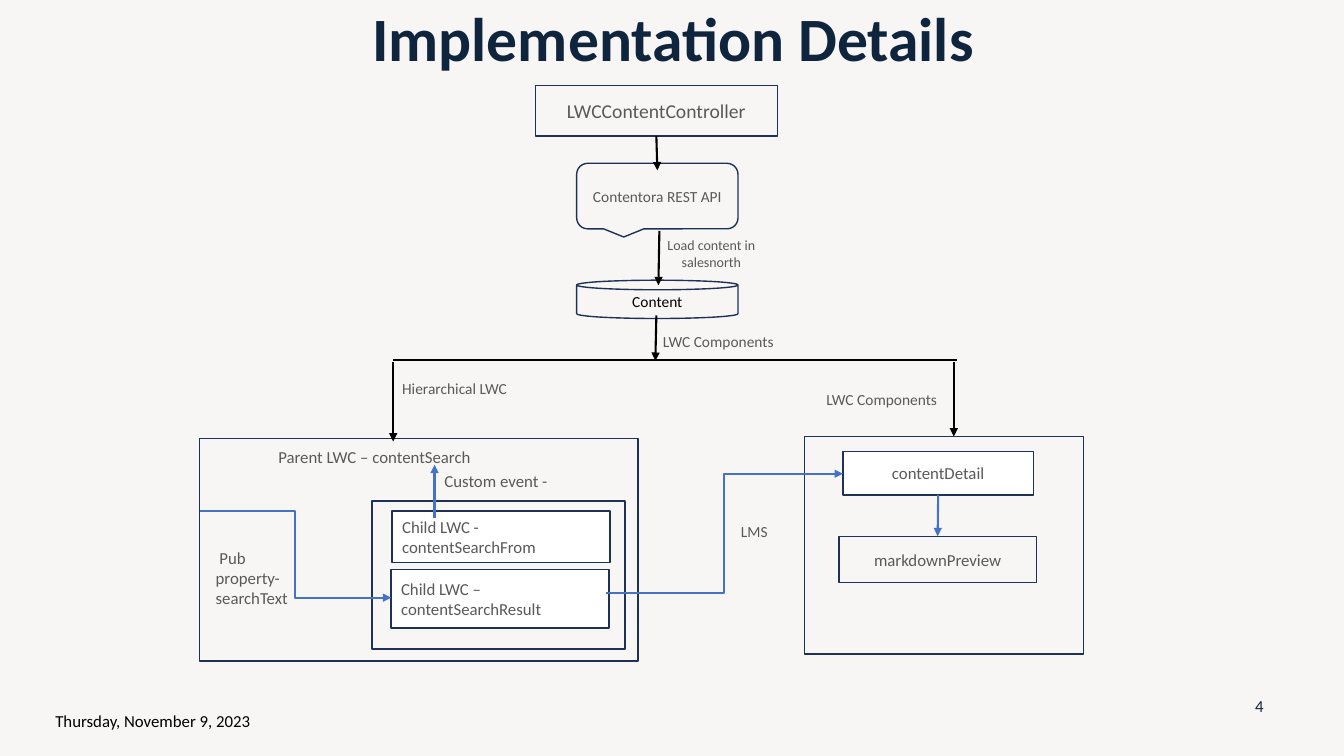
from lxml import etree
from pptx import Presentation
from pptx.dml.color import RGBColor
from pptx.enum.shapes import MSO_CONNECTOR, MSO_SHAPE
from pptx.enum.text import MSO_ANCHOR, PP_ALIGN
from pptx.oxml.ns import qn
from pptx.util import Inches, Pt

RECT, CAN = MSO_SHAPE.RECTANGLE, MSO_SHAPE.CAN
CALLOUT = MSO_SHAPE.ROUNDED_RECTANGULAR_CALLOUT
STRAIGHT, ELBOW = MSO_CONNECTOR.STRAIGHT, MSO_CONNECTOR.ELBOW
LEFT, CENTER = PP_ALIGN.LEFT, PP_ALIGN.CENTER
TOP, MIDDLE = MSO_ANCHOR.TOP, MSO_ANCHOR.MIDDLE
BOTTOM_SIDE, TOP_SIDE = 2, 0
FONT = "Calibri"
COLORS = {"bg": "F8F6F5", "title": "0F253E", "outline": "1E3256", "text": "595959",
          "black": "000000", "white": "FFFFFF", "blue": "4472C4"}
rgb = {name: RGBColor.from_string(value) for name, value in COLORS.items()}


def write(sp, text, size=12, color="text", bold=False, align=CENTER, anchor=MIDDLE,
          margins=(0.1, 0.05)):
    tf = sp.text_frame
    tf.word_wrap = True
    tf.vertical_anchor = anchor
    tf.margin_left = tf.margin_right = Inches(margins[0])
    tf.margin_top = tf.margin_bottom = Inches(margins[1])
    p = tf.paragraphs[0]
    p.text = text
    p.alignment = align
    for r in p.runs:
        r.font.name, r.font.size, r.font.bold = FONT, Pt(size), bold
        r.font.color.rgb = rgb[color]


def connect(kind, start, end, color="black", arrow=True):
    line = s.shapes.add_connector(kind, *map(Inches, start + end))
    line.line.color.rgb = rgb[color]
    line.line.width = Pt(1.5)
    if arrow:
        ln = line.line._get_or_add_ln()
        etree.SubElement(ln, qn("a:tailEnd"), type="triangle")
    etree.SubElement(line._element.spPr, qn("a:effectLst"))
    return line


prs = Presentation()
prs.slide_width, prs.slide_height = Inches(13.33), Inches(7.5)
s = prs.slides.add_slide(prs.slide_layouts[5])
s.background.fill.solid()
s.background.fill.fore_color.rgb = rgb["bg"]

# Title
title = s.shapes.title
title.left, title.top, title.width, title.height = map(Inches, (0.93, 0.1, 11.5, 0.62))
write(title, "Implementation Details", size=44, color="title", bold=True)
title.text_frame.paragraphs[0].line_spacing = 0.9

# Boxes, from back to front: name, shape, place, fill, text, format
boxes = [
    ("controller", RECT, (5.31, 0.85, 2.4, 0.5), None, "LWCContentController", {"size": 14}),
    ("api", CALLOUT, (5.72, 1.62, 1.6, 0.65), None, "Contentora REST API", {"size": 11}),
    ("content", CAN, (5.72, 2.78, 1.6, 0.38), None, "Content",
     {"size": 11, "color": "black", "margins": (0.1, 0)}),
    ("parent", RECT, (1.98, 4.35, 4.35, 2.21), None, "Parent LWC – contentSearch",
     {"align": LEFT, "anchor": TOP, "margins": (0.78, 0.08)}),
    ("children", RECT, (3.69, 4.97, 2.51, 1.47), None, "", {}),
    ("search form", RECT, (3.89, 5.07, 2.16, 0.51), "white",
     "Child LWC - contentSearchFrom", {"align": LEFT}),
    ("search result", RECT, (3.88, 5.65, 2.16, 0.58), "white",
     "Child LWC – contentSearchResult", {"align": LEFT}),
    ("components", RECT, (7.98, 4.33, 2.77, 2.16), None, "", {}),
    ("detail", RECT, (8.36, 4.48, 1.89, 0.43), "white", "contentDetail", {}),
    ("preview", RECT, (8.32, 5.32, 1.96, 0.46), None, "markdownPreview", {}),
]
box = {}
for name, shape, place, fill, text, fmt in boxes:
    sp = s.shapes.add_shape(shape, *map(Inches, place))
    sp.shadow.inherit = False
    if fill:
        sp.fill.solid()
        sp.fill.fore_color.rgb = rgb[fill]
    else:
        sp.fill.background()
    sp.line.color.rgb = rgb["outline"]
    sp.line.width = Pt(1)
    if text:
        write(sp, text, **fmt)
    box[name] = sp

# Main flow and the branch into two groups
line = connect(STRAIGHT, (6.53, 1.35), (6.52, 1.69))
line.begin_connect(box["controller"], BOTTOM_SIDE)
for start, end in [((6.54, 2.29), (6.53, 2.83)), ((6.51, 3.13), (6.5, 3.58)),
                   ((3.9, 3.59), (3.9, 4.38)), ((9.46, 3.59), (9.46, 4.33))]:
    connect(STRAIGHT, start, end)
connect(STRAIGHT, (3.9, 3.57), (9.49, 3.57), arrow=False)

# Messages between components
connect(STRAIGHT, (4.31, 5.14), (4.31, 4.61), "blue")
connect(ELBOW, (1.98, 5.07), (3.88, 5.93), "blue")
connect(ELBOW, (6.01, 5.88), (8.36, 4.7), "blue")
line = connect(STRAIGHT, (9.31, 4.91), (9.3, 5.32), "blue")
line.begin_connect(box["detail"], BOTTOM_SIDE)
line.end_connect(box["preview"], TOP_SIDE)

# Labels, date and page number
labels = [
    ((6.52, 2.27, 1.07, 0.48), "Load content in\vsalesnorth", {"size": 10, "margins": (0.05, 0.05)}),
    ((6.43, 3.23, 1.39, 0.31), "LWC Components", {"size": 11}),
    ((3.89, 3.53, 1.42, 0.64), "Hierarchical LWC", {"size": 11, "align": LEFT}),
    ((8.05, 3.72, 1.39, 0.49), "LWC Components", {"size": 11}),
    ((4.31, 4.61, 1.53, 0.31), "Custom event -", {"align": LEFT}),
    ((2.04, 5.36, 1.15, 0.75), " Pub\vproperty-\vsearchText", {"align": LEFT}),
    ((7.25, 5.13, 0.75, 0.28), "LMS", {"size": 11, "align": LEFT}),
    ((0.45, 7, 3.78, 0.45), "Thursday, November 9, 2023",
     {"color": "black", "align": LEFT, "anchor": TOP}),
    ((12.24, 6.8, 0.5, 0.4), "4", {"color": "title"}),
]
for place, text, fmt in labels:
    write(s.shapes.add_textbox(*map(Inches, place)), text, **fmt)

prs.save("out.pptx")
